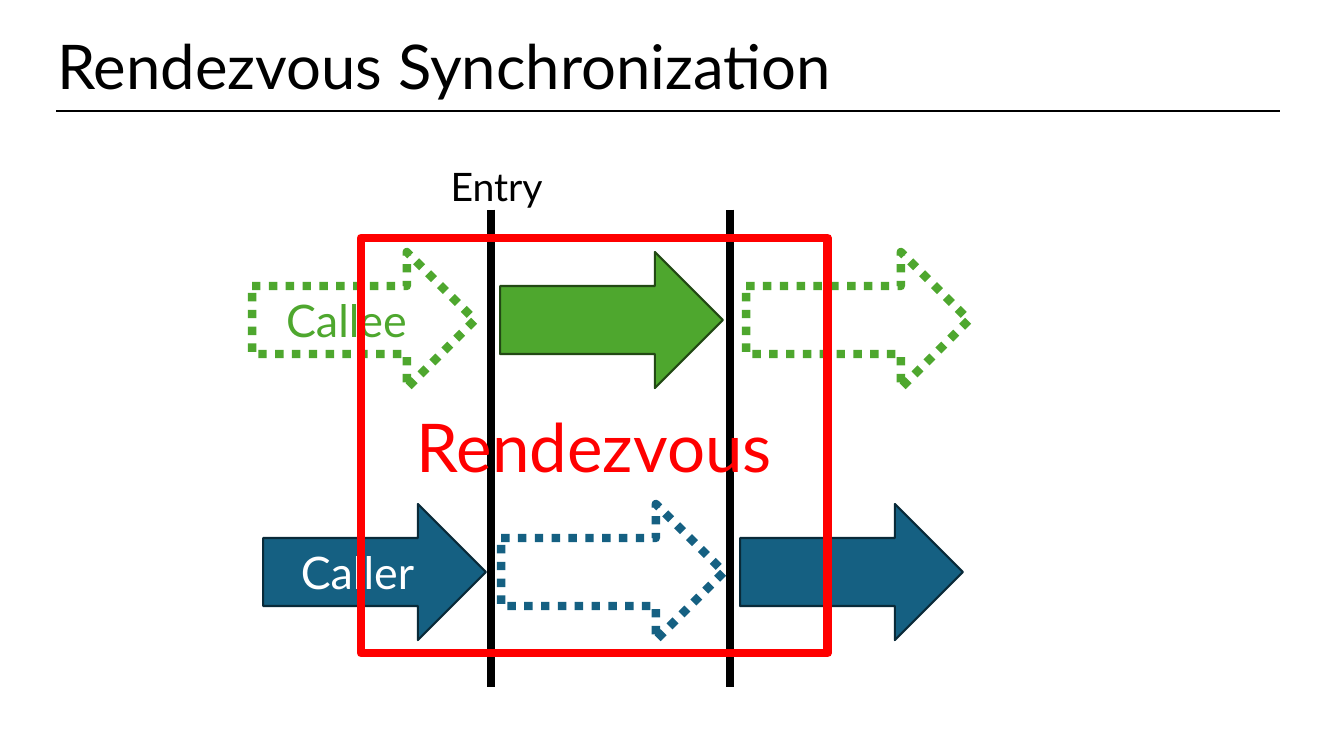
from lxml.etree import SubElement
from pptx import Presentation
from pptx.dml.color import RGBColor
from pptx.enum.dml import MSO_LINE_DASH_STYLE as DASH
from pptx.enum.shapes import MSO_CONNECTOR as CONN, MSO_SHAPE as SHAPE
from pptx.enum.text import MSO_ANCHOR as ANCHOR, PP_ALIGN as ALIGN
from pptx.oxml.ns import qn
from pptx.util import Pt

PX = 9144
COLORS = {
    "black": "000000", "white": "FFFFFF", "red": "FF0000",
    "blue": "156082", "blue_edge": "092A39",
    "green": "4EA72E", "green_edge": "224914",
}


def px(*lengths):
    """Turn pixel lengths into EMU."""
    return [n * PX for n in lengths]


def rgb(name):
    """Return the named colour."""
    return RGBColor.from_string(COLORS[name])


def put_text(sp, text, size, color, **formats):
    """Write one paragraph in a shape, with paragraph formats."""
    tf = sp.text_frame
    tf.word_wrap = True
    p = tf.paragraphs[0]
    for name, value in formats.items():
        setattr(p, name, value)
    r = p.add_run()
    r.text = text
    for name, value in {"name": "Lato", "size": Pt(size)}.items():
        setattr(r.font, name, value)
    r.font.color.rgb = rgb(color)
    return tf


def set_line(line, color, width, dash=None):
    """Set the colour, width and dash of a line."""
    line.color.rgb = rgb(color)
    line.width = Pt(width)
    if dash:
        line.dash_style = dash


def add_label(s, box, text, size, color="black", anchor=ANCHOR.TOP, **formats):
    """Add a text box."""
    tf = put_text(s.shapes.add_textbox(*px(*box)), text, size, color, **formats)
    tf.vertical_anchor = anchor


def add_rule(s, x1, y1, x2, y2, width):
    """Add a straight black line."""
    line = s.shapes.add_connector(CONN.STRAIGHT, *px(x1, y1, x2, y2))
    set_line(line.line, "black", width)
    SubElement(line._element.spPr, qn("a:effectLst"))


def add_block(s, kind, box, edge, width, fill=None, dash=None,
              text=None, size=32, color=None):
    """Add a filled or hollow shape with an optional centred caption."""
    sp = s.shapes.add_shape(kind, *px(*box))
    sp.shadow.inherit = False
    if fill:
        sp.fill.solid()
        sp.fill.fore_color.rgb = rgb(fill)
    else:
        sp.fill.background()
    set_line(sp.line, edge, width, dash)
    if text:
        tf = put_text(sp, text, size, color, alignment=ALIGN.CENTER)
        tf.vertical_anchor = ANCHOR.MIDDLE


def draw_heading(s, x, y, w, h):
    """Place the title and the rule beneath it."""
    add_label(s, (x, y, w, h), "Rendezvous Synchronization", 44,
              anchor=ANCHOR.MIDDLE, line_spacing=0.9)
    add_rule(s, x + 9, y + 114, x + 1223, y + 114, 1.5)


def draw_task(s, x, y, w, h, starts, active, color, caption, caption_color):
    """Place one task's arrows: solid while active, dotted while waiting."""
    for i, (start, solid) in enumerate(zip(starts, active)):
        style = (dict(edge=color + "_edge", width=1.5, fill=color) if solid
                 else dict(edge=color, width=6, dash=DASH.ROUND_DOT))
        if i == 0:
            style.update(text=caption, color=caption_color)
        add_block(s, SHAPE.RIGHT_ARROW, (x + start, y, w, h), **style)


def draw_timeline(s, x, y, w, h):
    """Place the barriers, both tasks and the rendezvous frame."""
    for barrier in (237, 474):
        add_rule(s, x + barrier, y + 52, x + barrier, y + h, 6)
    draw_task(s, x, y + 344, 221, 135, (11, 247, 484), (True, False, True),
              "blue", "Caller", "white")
    draw_task(s, x, y + 94, 221, 135, (0, 246, 490), (False, True, False),
              "green", "Callee", "green")
    add_label(s, (x + 187, y, 137, 57), "Entry", 28)
    add_block(s, SHAPE.RECTANGLE, (x + 108, y + 80, w - 248, h - 114), "red", 6,
              text="Rendezvous", size=48, color="red")


def main():
    """Build and save the slide."""
    prs = Presentation()
    prs.slide_width, prs.slide_height = px(1333, 750)
    s = prs.slides.add_slide(prs.slide_layouts[6])
    draw_heading(s, 47, -4, 1150, 145)
    draw_timeline(s, 250, 156, 711, 526)
    prs.save("out.pptx")


if __name__ == "__main__":
    main()
